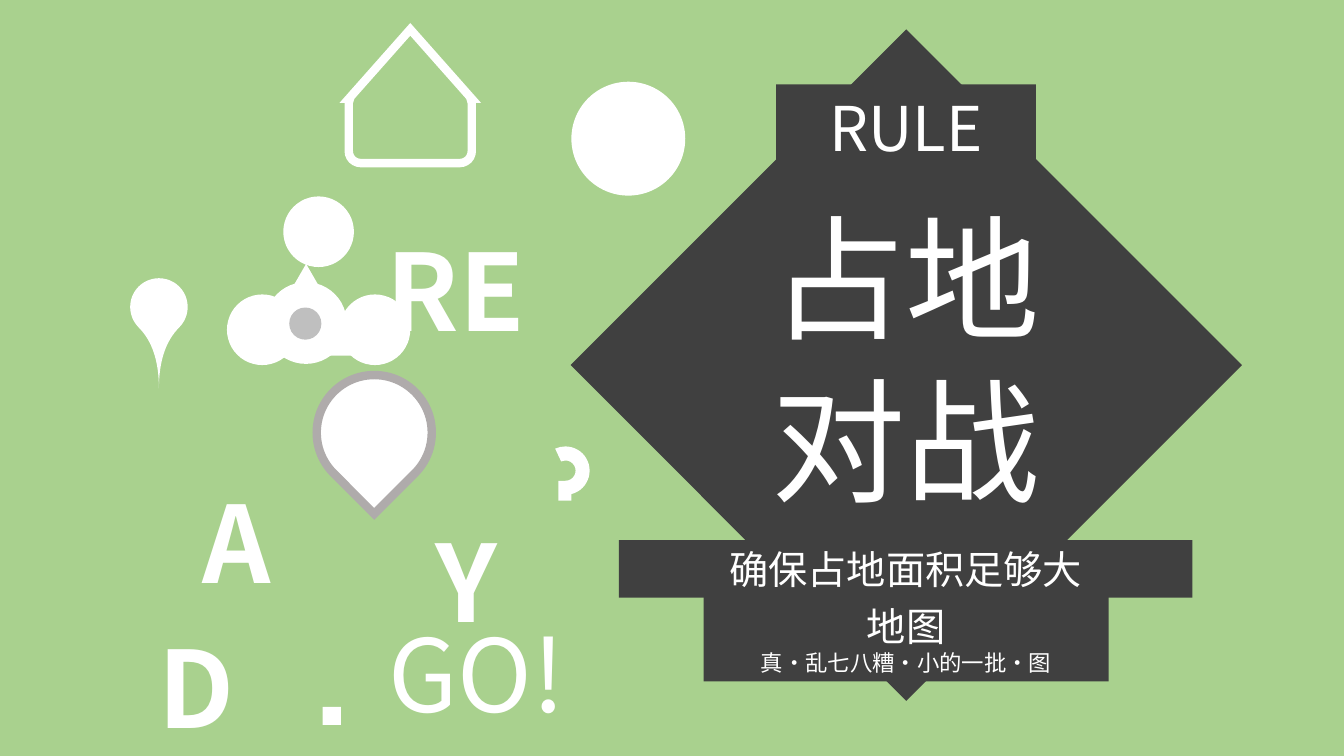
from math import cos, radians, sin

from lxml.etree import SubElement
from pptx import Presentation
from pptx.dml.color import RGBColor
from pptx.enum.shapes import MSO_SHAPE as Preset
from pptx.enum.text import MSO_ANCHOR as Anchor, PP_ALIGN as Align
from pptx.oxml.ns import qn
from pptx.util import Cm, Pt

GREEN = RGBColor(0xA9, 0xD1, 0x8E)
DARK = RGBColor(0x40, 0x40, 0x40)
WHITE = RGBColor(0xFF, 0xFF, 0xFF)
RIM = RGBColor(0xAF, 0xAB, 0xAB)
GREY = RGBColor(0xBF, 0xBF, 0xBF)
FONT = "Noto Sans CJK SC"
LINE_HEIGHT = 1.21  # in ems

# Rule sign: place as left, top, width, height in cm, then (text, size) lines
DIAMOND = (14.38, 0.74, 16.92, 16.92)
TITLE = ((18.26, 4.75, 9.14, 8.46), [("占地对战", 96)])
BANDS = [
    ((19.56, 2.13, 6.55, 2.13), [("RULE", 44)]),
    ((15.6, 13.61, 14.45, 1.45), [("确保占地面积足够大", 28)]),
    ((17.73, 15.04, 10.21, 2.13),
     [("地图", 28), ("真·乱七八糟·小的一批·图", 16)]),
]

# Words: each scattered letter has the centre of its capital height
GO = ((9.53, 15.27, 5.31, 3.33), [("GO!", 72)])
READY = [("R", 10.65, 7.26), ("E", 12.4, 7.26), ("A", 5.97, 13.61),
         ("D", 4.95, 17.27), ("Y", 11.76, 14.6)]
LETTER_SIZE = 76
LETTER_BOX = 3.3
FULL_STOP = (8.13, 17.81, 0.46, 0.46)

# Question mark: an arc for the hook and a short stem
HOOK = (13.64, 11.25, 1.22, 1.22)
HOOK_ANGLES = (245, 90)
HOOK_THICKNESS = 0.29
STEM = (14.07, 12.12, 0.33, 0.5)

# House: measured from its middle axis
HOUSE_AXIS = 10.34
ROOF_TOP, EAVES, WALL_TOP, FLOOR = 0.74, 2.49, 2.59, 4.11
HALF_WIDTH = 1.55
EAVES_NOTCH = 0.03
CORNER_RADIUS = 0.3

# Pins, balls and the figure between them
SMALL_PIN = (3.28, 7.01, 1.45, 1.45)
LARGE_PIN = (7.98, 9.45, 2.9, 2.9)
BALL = (14.4, 2.06, 2.87, 2.87)
DOT_SIZE = 1.78
DOTS = [(8.56, 7.42), (5.72, 7.42), (7.14, 4.95)]
FIGURE = [
    (Preset.OVAL, (6.68, 7.11, 2.06, 2.06), WHITE),
    (Preset.ISOSCELES_TRIANGLE, (6.38, 6.65, 2.67, 2.31), WHITE),
    (Preset.OVAL, (7.29, 7.75, 0.81, 0.81), GREY),
]


def paint(shape, fill=None, line=None, width=6):
    shape.shadow.inherit = False
    if fill is None:
        shape.fill.background()
    else:
        shape.fill.solid()
        shape.fill.fore_color.rgb = fill
    if line is None:
        shape.line.fill.background()
    else:
        shape.line.color.rgb = line
        shape.line.width = Pt(width)
        # Sharp corners
        outline = shape._element.spPr.find(qn("a:ln"))
        SubElement(outline, qn("a:miter")).set("lim", "800000")
    return shape


def add_preset(shapes, preset, place, fill, **style):
    return paint(shapes.add_shape(preset, *map(Cm, place)), fill, **style)


def write(shape, lines, align=Align.CENTER, wrap=True, bold=False):
    frame = shape.text_frame
    frame.word_wrap = wrap
    frame.vertical_anchor = Anchor.MIDDLE
    frame.margin_top = frame.margin_bottom = 0
    for index, (text, size) in enumerate(lines):
        paragraph = frame.add_paragraph() if index else frame.paragraphs[0]
        paragraph.alignment = align
        paragraph.line_spacing = Pt(round(size * LINE_HEIGHT, 1))
        run = paragraph.add_run()
        run.text = text
        run.font.size = Pt(size)
        run.font.bold = bold
        run.font.color.rgb = WHITE
        run.font.name = FONT
        SubElement(run.font._element, qn("a:ea")).set("typeface", FONT)


def add_text(shapes, place, lines, **style):
    write(shapes.add_textbox(*map(Cm, place)), lines, **style)


def house_points():
    """Right half from the roof down, then its mirror image back up."""
    right = [(HALF_WIDTH, EAVES), (HALF_WIDTH - EAVES_NOTCH, EAVES),
             (HALF_WIDTH, WALL_TOP)]
    for angle in range(0, 91, 15):
        right.append((
            HALF_WIDTH - CORNER_RADIUS * (1 - cos(radians(angle))),
            FLOOR - CORNER_RADIUS * (1 - sin(radians(angle)))))
    left = [(-x, y) for x, y in reversed(right)]
    return [(Cm(HOUSE_AXIS + x), Cm(y))
            for x, y in [(0, ROOF_TOP), *right, *left]]


deck = Presentation()
deck.slide_width, deck.slide_height = Cm(33.87), Cm(19.05)
slide = deck.slides.add_slide(deck.slide_layouts[6])
slide.background.fill.solid()
slide.background.fill.fore_color.rgb = GREEN
shapes = slide.shapes

# Rule sign
sign = shapes.add_group_shape().shapes
add_preset(sign, Preset.DIAMOND, DIAMOND, DARK)
add_text(sign, *TITLE)
for place, lines in BANDS:
    write(add_preset(sign, Preset.RECTANGLE, place, DARK), lines)

# Pins, ball and dots
small_pin = add_preset(shapes, Preset.TEAR, SMALL_PIN, WHITE)
small_pin.adjustments[0] = 2
add_preset(shapes, Preset.OVAL, BALL, WHITE)
large_pin = add_preset(shapes, Preset.TEAR, LARGE_PIN, WHITE, line=RIM)
small_pin.rotation = large_pin.rotation = 135
for left, top in DOTS:
    add_preset(shapes, Preset.OVAL, (left, top, DOT_SIZE, DOT_SIZE), WHITE)

# Question mark; angles count in 60000ths of a degree, adjustments in 100000ths
question = shapes.add_group_shape().shapes
hook = add_preset(question, Preset.BLOCK_ARC, HOOK, WHITE)
for index, angle in enumerate(HOOK_ANGLES):
    hook.adjustments[index] = angle * 0.6
hook.adjustments[2] = HOOK_THICKNESS
add_preset(question, Preset.RECTANGLE, STEM, WHITE)

# Scattered letters, full stop and GO!
for letter, x, y in READY:
    place = (x - LETTER_BOX / 2, y - LETTER_BOX / 2, LETTER_BOX, LETTER_BOX)
    add_text(shapes, place, [(letter, LETTER_SIZE)], bold=True)
add_preset(shapes, Preset.RECTANGLE, FULL_STOP, WHITE)
add_text(shapes, *GO, align=Align.LEFT, wrap=False)

# House
roof, *rest = house_points()
house = shapes.build_freeform(*roof)
house.add_line_segments(rest, close=True)
paint(house.convert_to_shape(), line=WHITE)

# Figure between the dots
figure = shapes.add_group_shape().shapes
for preset, place, fill in FIGURE:
    add_preset(figure, preset, place, fill)

deck.save("out.pptx")
